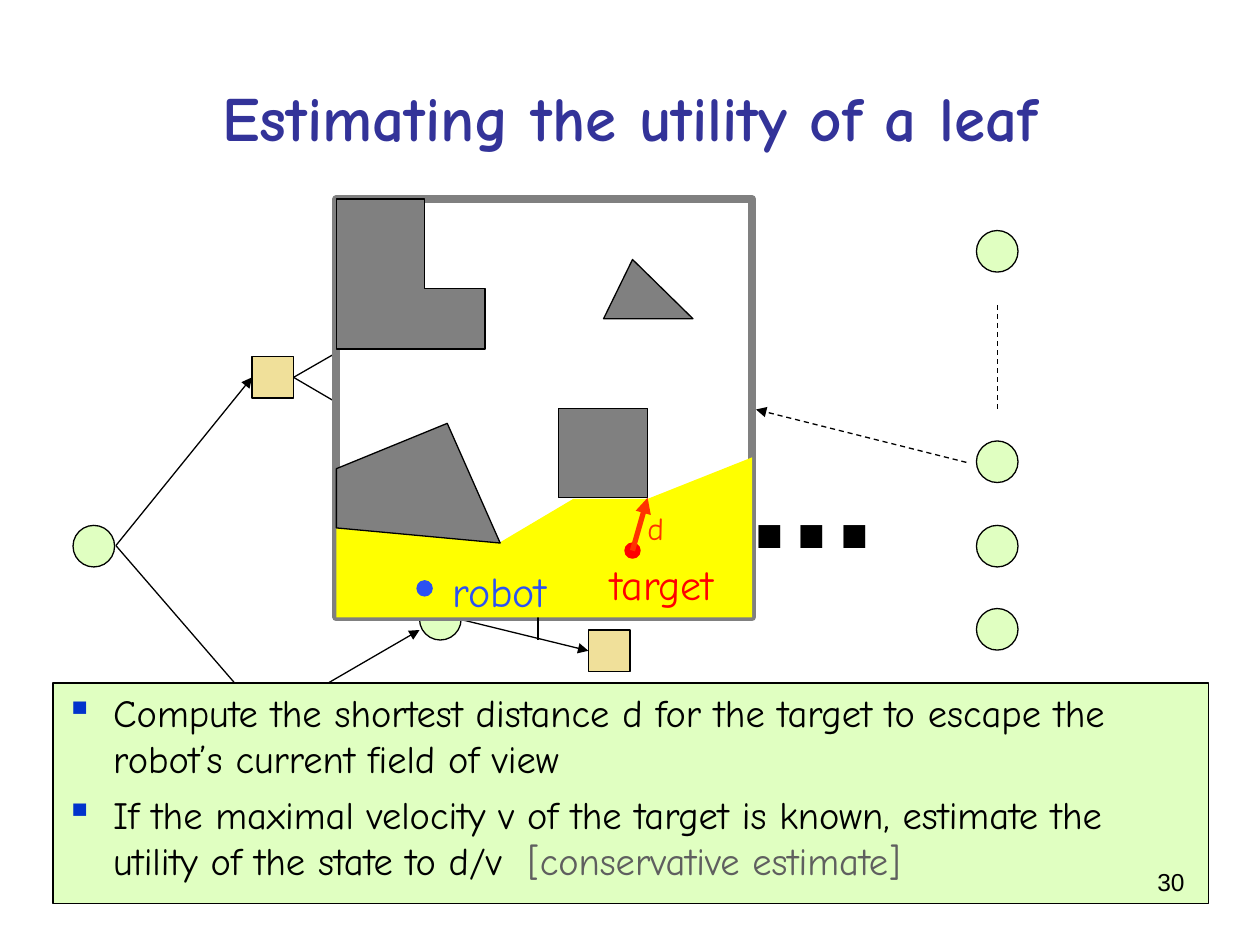
from lxml import etree
from pptx import Presentation
from pptx.dml.color import RGBColor
from pptx.enum import dml, shapes, text
from pptx.oxml import ns
from pptx.util import Inches, Pt

COLORS = {
    "black": "000000", "white": "FFFFFF", "title": "333399",
    "state": "E0FFC1", "action": "F0E09A", "wall": "808080",
    "view": "FFFF00", "robot": "2B51F3", "target": "FF0000",
    "escape": "FF3300", "bullet": "0033CC", "remark": "5F5F5F",
}
HAND, SANS = "Comic Neue", "Arial"
NODE = 0.33
OVAL, RECT = shapes.MSO_SHAPE.OVAL, shapes.MSO_SHAPE.RECTANGLE


def rgb(name):
    return RGBColor.from_string(COLORS[name])


def paint(shape, fill, line="black", width=0.75):
    shape.shadow.inherit = False
    shape.fill.solid()
    shape.fill.fore_color.rgb = rgb(fill)
    if line:
        shape.line.color.rgb = rgb(line)
        shape.line.width = Pt(width)
    else:
        shape.line.fill.background()
    return shape


def add_box(slide, kind, left, top, width, height, fill, line="black", weight=0.75):
    shape = slide.shapes.add_shape(
        kind, Inches(left), Inches(top), Inches(width), Inches(height))
    return paint(shape, fill, line, weight)


def add_node(slide, kind, left, top):
    fill = "state" if kind == OVAL else "action"
    return add_box(slide, kind, left, top, NODE, NODE, fill)


def add_polygon(slide, origin, points, fill, line="black"):
    left, top = origin
    corners = [(Inches(left + x), Inches(top + y)) for x, y in points]
    builder = slide.shapes.build_freeform(*corners[0])
    builder.add_line_segments(corners[1:], close=True)
    return paint(builder.convert_to_shape(), fill, line)


def add_line(slide, start, end, color="black", width=0.75, dashed=False, arrow=True):
    line = slide.shapes.add_connector(
        shapes.MSO_CONNECTOR.STRAIGHT, *(Inches(v) for v in (*start, *end)))
    line.line.color.rgb = rgb(color)
    line.line.width = Pt(width)
    if dashed:
        line.line.dash_style = dml.MSO_LINE.DASH
    if arrow:
        outline = line.line._get_or_add_ln()
        etree.SubElement(outline, ns.qn("a:tailEnd"), type="triangle")
    etree.SubElement(line._element.spPr, ns.qn("a:effectLst"))
    return line


def add_run(paragraph, words, size, color, font=HAND, bold=False):
    run = paragraph.add_run()
    run.text = words
    run.font.name, run.font.size, run.font.bold = font, Pt(size), bold
    run.font.color.rgb = rgb(color)


def add_label(slide, box, words, size, color, font=HAND, bold=False, wrap=False):
    label = slide.shapes.add_textbox(*(Inches(v) for v in box))
    label.text_frame.word_wrap = wrap
    if not wrap:
        label.text_frame.auto_size = text.MSO_AUTO_SIZE.SHAPE_TO_FIT_TEXT
    paragraph = label.text_frame.paragraphs[0]
    add_run(paragraph, words, size, color, font, bold)
    return paragraph


def set_title(slide, box):
    title = slide.shapes.title
    title.left, title.top, title.width, title.height = (Inches(v) for v in box)
    title.text_frame.vertical_anchor = text.MSO_ANCHOR.MIDDLE
    paragraph = title.text_frame.paragraphs[0]
    paragraph.alignment = text.PP_ALIGN.CENTER
    add_run(paragraph, "Estimating the utility of a leaf", 36, "title", bold=True)


def draw_leaves(slide, box):
    left, top, width, _ = box
    for drop in (0, 1.67, 2.34, 3):
        add_node(slide, OVAL, left, top + drop)
    middle = left + width / 2
    add_line(slide, (middle, top + 0.59), (middle, top + 1.42),
             dashed=True, arrow=False)


def draw_tree(slide, box):
    left, top, width, _ = box
    # First move of the robot
    move = add_node(slide, RECT, left + 1.42, top + 0.41)
    add_node(slide, OVAL, left, top + 1.75)
    root = (left + 0.34, top + 1.91)
    add_line(slide, root, (left + 1.42, top + 0.58)).end_connect(move, 1)
    add_line(slide, root, (left + 1.42, top + 3.16))
    for drop in (0, 1.16):
        branch = add_line(slide, (left + 1.75, top + 0.58), (left + 2.75, top + drop))
        branch.begin_connect(move, 3)

    # Next state and its follow-up move
    add_node(slide, OVAL, left + 2.75, top + 2.33)
    add_line(slide, (left + 1.75, top + 3.16), (left + 2.75, top + 2.58))
    follow_up = add_node(slide, RECT, left + width - NODE, top + 2.58)
    link = add_line(slide, (left + 3.09, top + 2.5), (left + 4.09, top + 2.75))
    link.end_connect(follow_up, 1)


def draw_note(slide, box):
    note = add_box(slide, RECT, *box, "state")
    frame = note.text_frame
    frame.word_wrap = True
    frame.vertical_anchor = text.MSO_ANCHOR.TOP
    points = [
        [("Compute the shortest distance d for the target to escape "
          "the robot’s current field of view", "black")],
        [("If the maximal velocity v of the target is known, estimate "
          "the utility of the state to d/v  ", "black"),
         ("[conservative estimate]", "remark")],
    ]
    for index, runs in enumerate(points):
        paragraph = frame.add_paragraph() if index else frame.paragraphs[0]
        paragraph.alignment = text.PP_ALIGN.LEFT
        paragraph.space_before = Pt(5.5)
        props = paragraph._p.get_or_add_pPr()
        props.set("marL", str(Inches(0.38)))
        props.set("indent", str(-Inches(0.38)))
        bullet_color = etree.SubElement(props, ns.qn("a:buClr"))
        etree.SubElement(bullet_color, ns.qn("a:srgbClr"), val=COLORS["bullet"])
        etree.SubElement(props, ns.qn("a:buChar"), char="▪")
        for words, color in runs:
            add_run(paragraph, words, 22, color)


def draw_room(slide, box):
    left, top, width, height = box
    origin = (left, top)
    add_box(slide, RECT, *box, "white", "wall", 4.5)
    add_line(slide, (left + 1.6, top + 3.5), (left + 1.6, top + 3.14))

    # Field of view
    add_polygon(slide, origin, [
        (1.29, 2.73), (1.88, 2.38), (2.47, 2.38), (width, 2.05),
        (width, height), (0, height), (0, 2.61)], "view", None)

    # Obstacles
    obstacles = [
        [(1.76, 1.66), (2.47, 1.66), (2.47, 2.37), (1.76, 2.37)],
        [(0, 2.61), (1.3, 2.73), (0.88, 1.78), (0, 2.14)],
        [(0, 1.19), (1.18, 1.19), (1.18, 0.71), (0.7, 0.71), (0.7, 0), (0, 0)],
        [(2.35, 0.48), (2.12, 0.95), (2.83, 0.95)],
    ]
    for corners in obstacles:
        add_polygon(slide, origin, corners, "wall")

    # Robot, target and its shortest way out of view
    for x, y, color in ((0.64, 3.03, "robot"), (2.29, 2.73, "target")):
        add_box(slide, OVAL, left + x, top + y, 0.12, 0.12, color, color)
    add_label(slide, (left + 2.08, top + 2.8, 1.04, 0.5), "target", 24, "target")
    add_label(slide, (left + 0.82, top + 2.86, 0.96, 0.5), "robot", 24, "robot")
    add_line(slide, (left + 2.35, top + 2.79), (left + 2.47, top + 2.37), "escape", 3)
    add_label(slide, (left + 2.37, top + 2.41, 0.33, 0.4), "d", 18, "escape")


def main():
    deck = Presentation()
    deck.slide_width, deck.slide_height = Inches(10), Inches(7.5)
    slide = deck.slides.add_slide(deck.slide_layouts[5])

    set_title(slide, (0.5, 0.3, 9, 1.25))
    draw_leaves(slide, (7.75, 1.83, NODE, 3.33))
    draw_tree(slide, (0.58, 2.42, 4.42, 3.16))
    add_label(slide, (5.84, 3.08, 1.22, 1.57), "...", 88, "black", SANS, bold=True)
    draw_note(slide, (0.42, 5.42, 9.17, 1.75))
    draw_room(slide, (2.67, 1.58, 3.3, 3.32))
    # The room shows the state at one leaf
    add_line(slide, (7.67, 3.67), (6, 3.25), dashed=True)
    number = add_label(slide, (7.17, 6.83, 2.33, 0.52), "30", 14, "black", SANS, wrap=True)
    number.alignment = text.PP_ALIGN.RIGHT

    deck.save("out.pptx")


if __name__ == "__main__":
    main()
